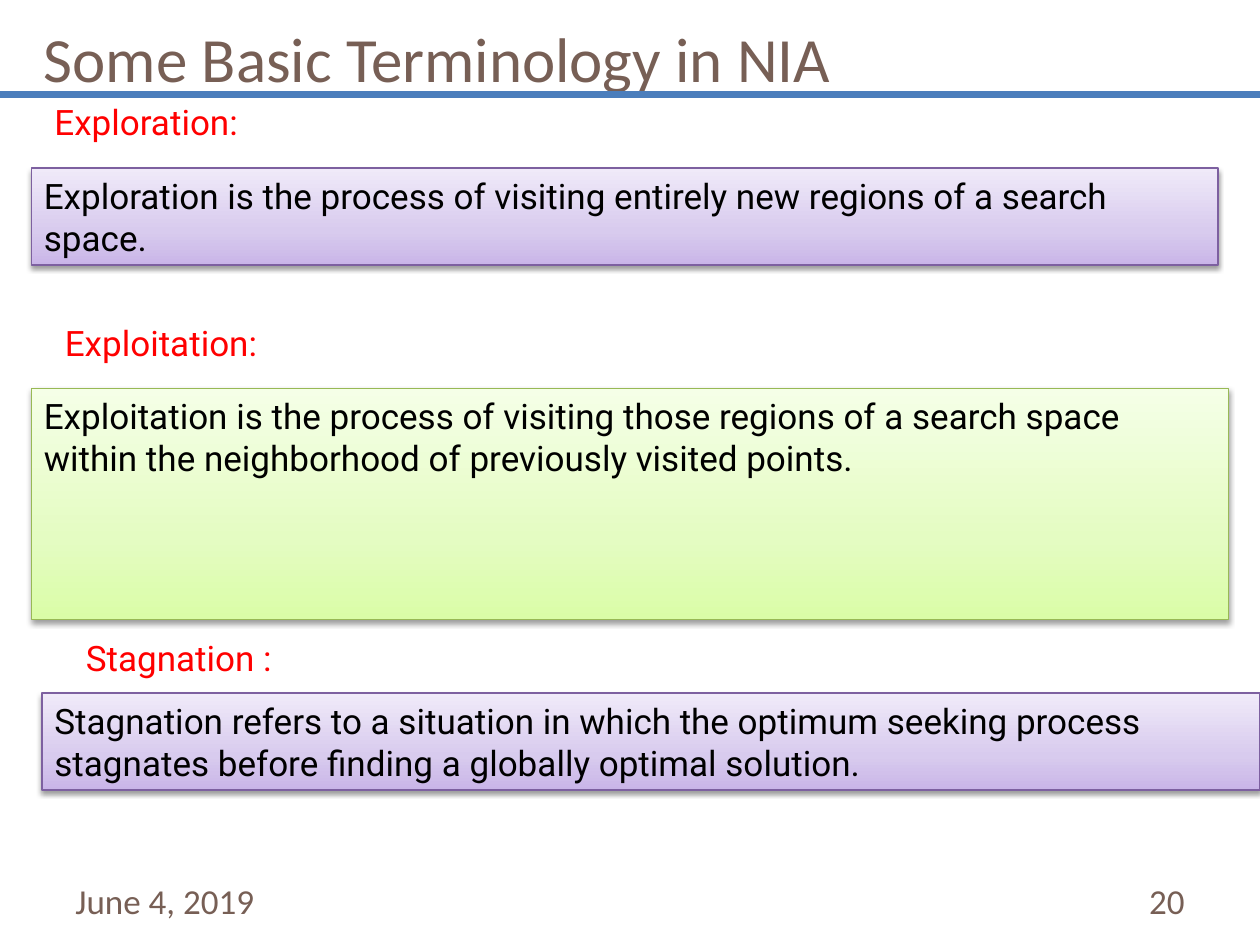
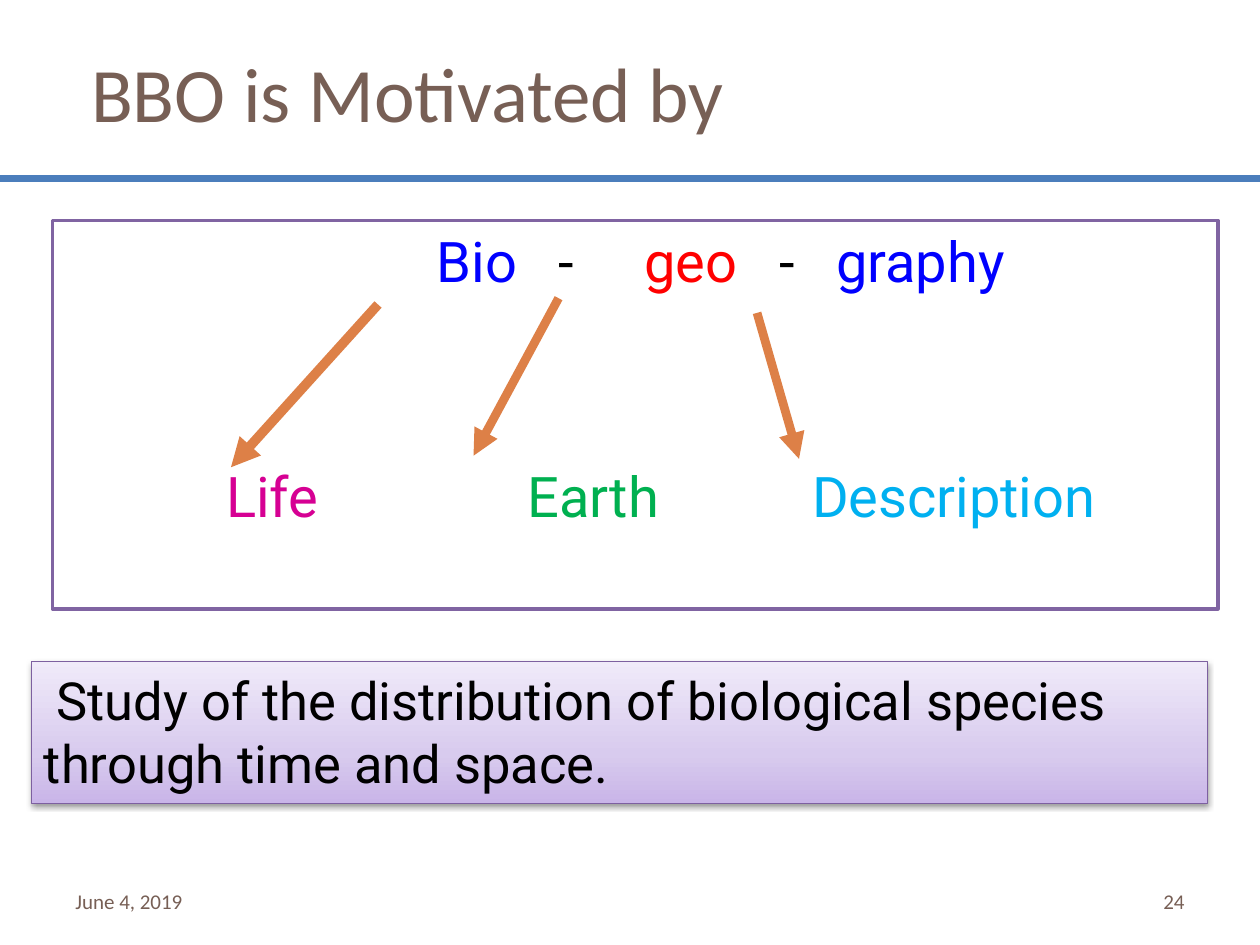
from lxml import etree
from pptx import Presentation
from pptx import util as u
from pptx.dml.color import RGBColor
from pptx.enum import shapes, text
from pptx.oxml import parse_xml
from pptx.oxml.ns import nsdecls, qn

BROWN = RGBColor(0x77, 0x5F, 0x55)
RULE_BLUE = RGBColor(0x4B, 0x7E, 0xBC)
ARROW_ORANGE = RGBColor(0xDD, 0x80, 0x47)
FRAME_PURPLE = RGBColor(0x80, 0x64, 0xA2)
WHITE = RGBColor(0xFF, 0xFF, 0xFF)
BLACK = RGBColor(0x00, 0x00, 0x00)
RED = RGBColor(0xFF, 0x00, 0x00)
BLUE = RGBColor(0x00, 0x00, 0xFF)
MAGENTA = RGBColor(0xD6, 0x00, 0x93)
GREEN = RGBColor(0x00, 0xB0, 0x50)
SKY = RGBColor(0x00, 0xB0, 0xF0)

# Panel style: outline, then gradient colours from bottom to top
PURPLE_PANEL = (RGBColor(0x7D, 0x60, 0xA0), ("C9B5E8", "D8CBEE", "F0EAF9"))
GREEN_PANEL = (RGBColor(0x98, 0xB9, 0x55), ("DAFDA7", "E4FCC2", "F5FFE7"))
GRADIENT_STOPS = (0, 35, 100)

HEADING_FONT, BODY_FONT = "Calibri", "Roboto"
COLUMNS, ROWS = 120, 90
MIDDLE = text.MSO_ANCHOR.MIDDLE


class Deck:
    """Holds the style and the current slide; places are columns and rows."""

    def __init__(self):
        self.presentation = Presentation()
        self.presentation.slide_width = u.Inches(10)
        self.presentation.slide_height = u.Inches(7.5)
        self.column = self.presentation.slide_width / COLUMNS
        self.row = self.presentation.slide_height / ROWS
        self.slide = None

    def point(self, column, row):
        return round(column * self.column), round(row * self.row)

    def box(self, left, top, width, height):
        return *self.point(left, top), *self.point(width, height)

    def new_slide(self, title, title_place, title_size, rule_row, number, footer_size):
        layout = self.presentation.slide_layouts[6]
        self.slide = self.presentation.slides.add_slide(layout)
        self.label(title, title_place, title_size, BROWN, HEADING_FONT, MIDDLE)
        self.line((0, rule_row), (COLUMNS, rule_row), RULE_BLUE, 4.5)
        footers = ((6, "June 4, 2019", text.PP_ALIGN.LEFT),
                   (86, number, text.PP_ALIGN.RIGHT))
        for left, footer, align in footers:
            self.label(footer, (left, 83.4, 28, 4.8), footer_size, BROWN,
                       HEADING_FONT, MIDDLE, align)

    def set_words(self, paragraph, words, size, color, font=BODY_FONT):
        paragraph.text = words
        paragraph.font.size = u.Pt(size)
        paragraph.font.name = font
        paragraph.font.color.rgb = color

    def label(self, words, place, size, color, font=BODY_FONT,
              anchor=text.MSO_ANCHOR.TOP, align=text.PP_ALIGN.LEFT):
        frame = self.slide.shapes.add_textbox(*self.box(*place)).text_frame
        frame.word_wrap = True
        frame.vertical_anchor = anchor
        paragraph = frame.paragraphs[0]
        paragraph.alignment = align
        self.set_words(paragraph, words, size, color, font)
        return paragraph

    def rectangle(self, place, outline, weight):
        shape = self.slide.shapes.add_shape(
            shapes.MSO_SHAPE.RECTANGLE, *self.box(*place))
        shape.shadow.inherit = False
        shape.line.color.rgb = outline
        shape.line.width = u.Pt(weight)
        shape.text_frame.word_wrap = True
        shape.text_frame.vertical_anchor = text.MSO_ANCHOR.TOP
        shape.text_frame.paragraphs[0].alignment = text.PP_ALIGN.LEFT
        return shape

    def panel(self, words, place, style, size=20, space_before=7, indent=0):
        """Draw a shaded, shadowed definition box."""
        outline, colors = style
        shape = self.rectangle(place, outline, 0.75)
        stops = "".join(
            f'<a:gs pos="{stop * 1000}"><a:srgbClr val="{color}"/></a:gs>'
            for stop, color in zip(GRADIENT_STOPS, colors))
        properties = shape._element.spPr
        properties.find(qn("a:prstGeom")).addnext(parse_xml(
            f'<a:gradFill {nsdecls("a")} rotWithShape="1"><a:gsLst>{stops}</a:gsLst>'
            '<a:lin ang="16200000" scaled="0"/></a:gradFill>'))
        properties.find(qn("a:effectLst")).append(parse_xml(
            f'<a:outerShdw {nsdecls("a")} blurRad="{u.Pt(3.1)}" dist="{u.Pt(1.6)}" '
            'dir="5400000" rotWithShape="0"><a:srgbClr val="000000">'
            '<a:alpha val="38000"/></a:srgbClr></a:outerShdw>'))
        paragraph = shape.text_frame.paragraphs[0]
        paragraph.space_before = u.Pt(space_before)
        paragraph._p.get_or_add_pPr().set("indent", str(u.Inches(indent)))
        self.set_words(paragraph, words, size, BLACK)

    def word_rows(self, place, rows, size):
        """Draw a frame with rows of (tab stop in inches, word, colour)."""
        shape = self.rectangle(place, FRAME_PURPLE, 2)
        shape.fill.solid()
        shape.fill.fore_color.rgb = WHITE
        frame = shape.text_frame
        for index, (space_before, words) in enumerate(rows):
            paragraph = frame.add_paragraph() if index else frame.paragraphs[0]
            paragraph.alignment = text.PP_ALIGN.LEFT
            paragraph.space_before = u.Pt(space_before)
            tabs = etree.SubElement(paragraph._p.get_or_add_pPr(), qn("a:tabLst"))
            paragraph.font.size = u.Pt(size)
            paragraph.font.name = BODY_FONT
            for stop, word, color in words:
                etree.SubElement(tabs, qn("a:tab"), pos=str(u.Inches(stop)), algn="l")
                run = paragraph.add_run()
                run.text = "\t" + word
                run.font.color.rgb = color

    def line(self, start, end, color, weight, arrow=False):
        connector = self.slide.shapes.add_connector(
            shapes.MSO_CONNECTOR.STRAIGHT, *self.point(*start), *self.point(*end))
        connector.line.color.rgb = color
        connector.line.width = u.Pt(weight)
        if arrow:
            etree.SubElement(connector.line._get_or_add_ln(), qn("a:tailEnd"),
                             type="triangle")
        etree.SubElement(connector._element.spPr, qn("a:effectLst"))


def terminology_slide(deck):
    deck.new_slide("Some Basic Terminology in NIA", (3, 1, 107, 9), 36, 9, "20", 20)
    terms = (
        ("Exploration:", (4, 9),
         "Exploration is the process of visiting entirely new regions "
         "of a search space.", (3, 16, 113, 9.25), PURPLE_PANEL),
        ("Exploitation:", (5, 30),
         "Exploitation is the process of visiting those regions of a search space "
         "within the neighborhood of previously visited points.",
         (3, 37, 114, 22), GREEN_PANEL),
        ("Stagnation :", (7, 60),
         "Stagnation refers to a situation in which the optimum seeking process "
         "stagnates before finding a globally optimal solution.",
         (4, 66, 116, 9.25), PURPLE_PANEL),
    )
    for term, corner, definition, place, style in terms:
        heading = deck.label(term, (*corner, 35, 5.25), 20, RED)
        heading.space_before = u.Pt(7)
        deck.panel(definition, place, style)


def motivation_slide(deck):
    deck.new_slide("BBO is Motivated by", (7.5, 2.2, 107, 13), 44, 17, "24", 12)
    parts = ((2.95, "Bio", BLUE), (3.92, "-", BLACK), (4.6, "geo", RED),
             (5.67, "-", BLACK), (6.12, "graphy", BLUE))
    meanings = ((1.28, "Life", MAGENTA), (3.67, "Earth", GREEN),
                (5.93, "Description", SKY))
    deck.word_rows((5, 21, 111, 37), ((7, parts), (96, meanings)), 32)
    arrows = (((36, 29), (22, 44.5), 5.5),
              ((53.2, 28.4), (45.1, 43.4), 5),
              ((72.1, 29.8), (76.1, 43.7), 5))
    for start, end, weight in arrows:
        deck.line(start, end, ARROW_ORANGE, weight, arrow=True)
    deck.panel("Study of the distribution of biological species through time and space.",
               (3, 63, 112, 13.5), PURPLE_PANEL, size=30, space_before=0, indent=0.1)


def main():
    deck = Deck()
    terminology_slide(deck)
    motivation_slide(deck)
    deck.presentation.save("out.pptx")


if __name__ == "__main__":
    main()
